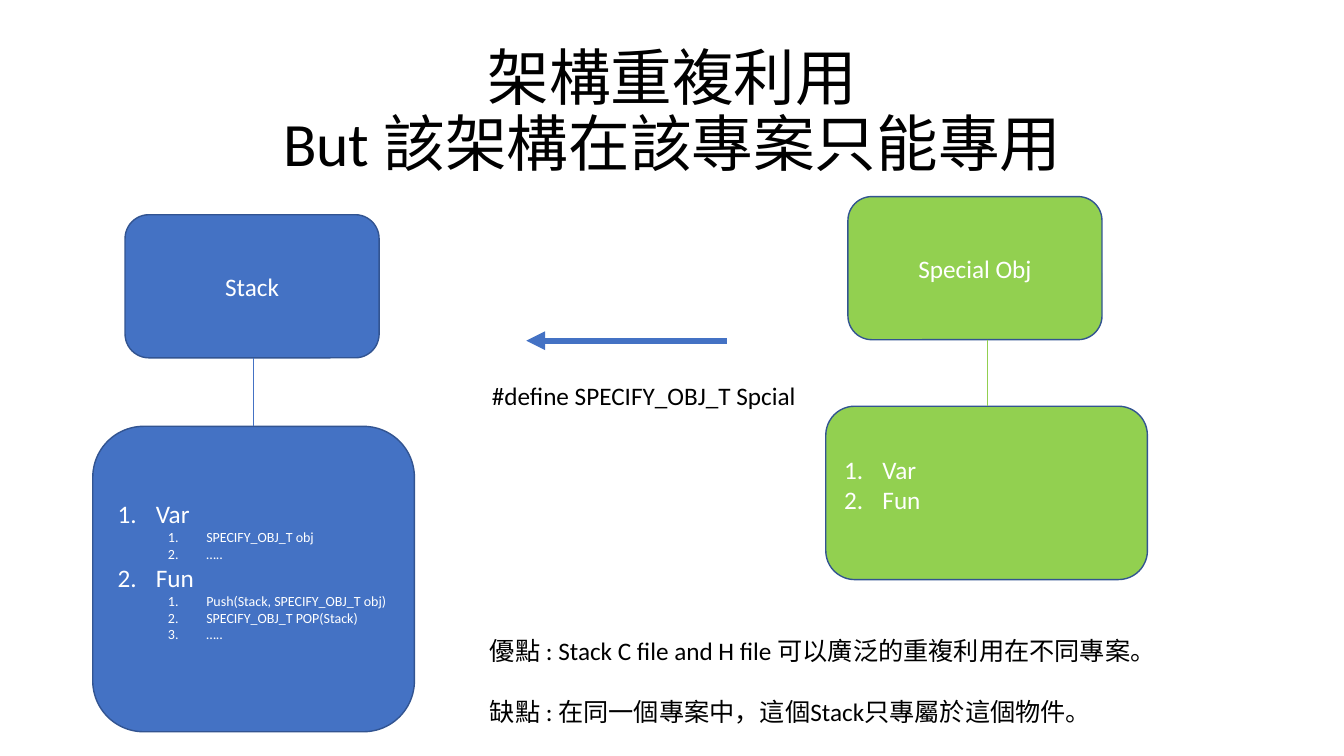
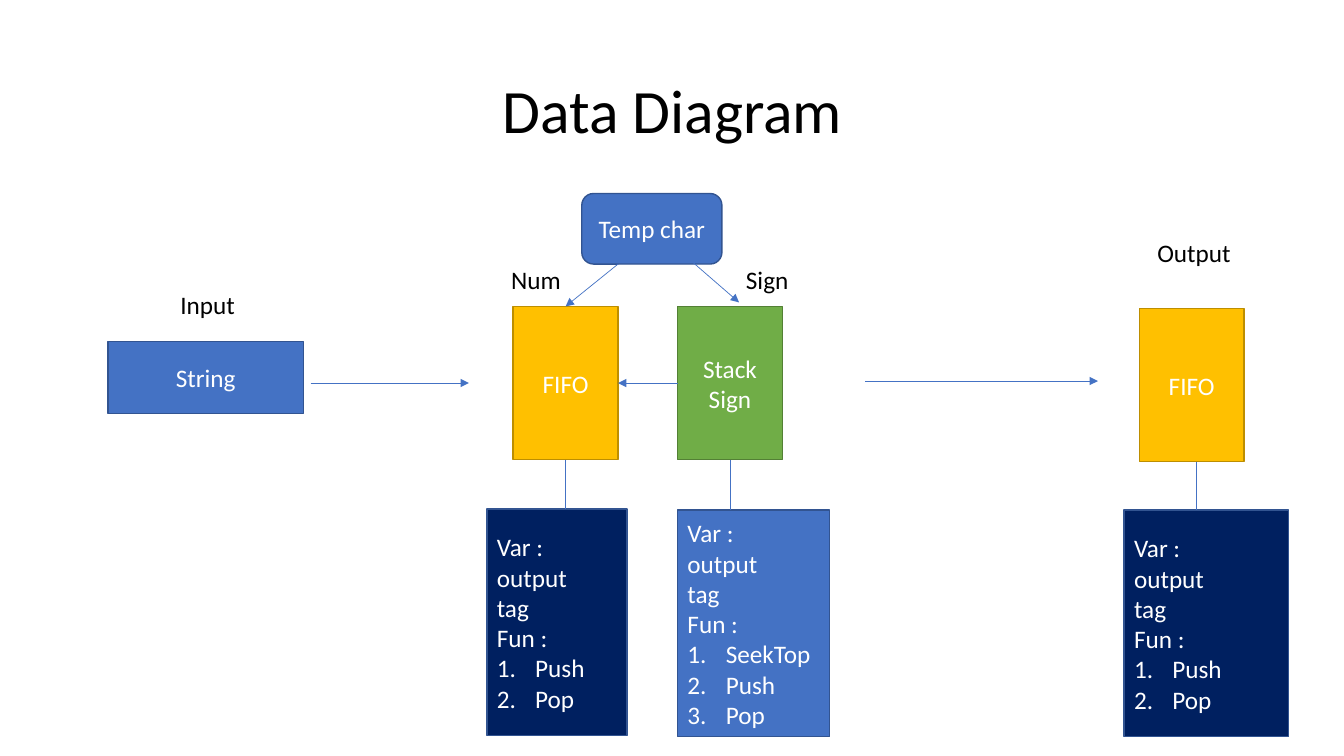
from pptx import Presentation
from pptx.dml.color import RGBColor
from pptx.enum.shapes import MSO_CONNECTOR as Link, MSO_SHAPE as Form
from pptx.enum.text import MSO_ANCHOR as Anchor, MSO_AUTO_SIZE as Fit, PP_ALIGN as Align
from pptx.oxml.ns import qn
from pptx.util import Inches, Pt
from lxml.etree import SubElement

FONT = "Calibri"
BLUE, LIME, GOLD, GREEN, NAVY = "4472C4", "92D050", "FFC000", "70AD47", "002060"
EDGE = {GOLD: "BD8E00", GREEN: "538035"}
ROUND, RECT = Form.ROUNDED_RECTANGLE, Form.RECTANGLE
HEAD, CELL = (2.52, 1.42), (1.04, 1.52)

STACK = [(1, "Var"), (2, "SPECIFY_OBJ_T obj"), (2, "….."),
         (1, "Fun"), (2, "Push(Stack, SPECIFY_OBJ_T obj)"),
         (2, "SPECIFY_OBJ_T POP(Stack)"), (2, "…..")]
OBJ = [(1, "Var"), (1, "Fun")]
VARS = [(0, "Var :"), (0, "output"), (0, "tag"), (0, "Fun :")]
FIFO = VARS + [(1, "Push"), (1, "Pop")]
SIGN = VARS + [(1, "SeekTop"), (1, "Push"), (1, "Pop")]

SLIDES = [
    {"title": "架構重複利用\vBut 該架構在該專案只能專用",
     "form": ROUND, "foot": 0.22,
     "units": [
         ("Stack", BLUE, (1.24, 2.13, *HEAD), STACK, BLUE, (0.92, 4.23, 3.19, 3.03), 2.51, BLUE),
         ("Special Obj", LIME, (8.41, 1.95, *HEAD), OBJ, LIME, (8.19, 4.03, 3.19, 1.72), 9.79, LIME)],
     "boxes": [],
     "arrows": [((7.21, 3.38), (5.22, 3.38), 4.5)],
     "notes": [
         (["#define SPECIFY_OBJ_T Spcial"], (4.78, 3.72, 3.47, 0.4)),
         (["優點 : Stack C file and H file 可以廣泛的重複利用在不同專案。",
           "缺點 : 在同一個專案中，這個Stack只專屬於這個物件。"], (4.76, 6.25, 7.29, 1.01))]},
    {"title": "Data Diagram",
     "form": RECT, "foot": 0.05,
     "units": [
         ("FIFO", GOLD, (5.09, 3.04, *CELL), FIFO, NAVY, (4.83, 5.05, 1.39, 2.25), 5.61, BLUE),
         ("Stack Sign", GREEN, (6.72, 3.04, *CELL), SIGN, BLUE, (6.72, 5.06, 1.51, 2.25), 7.24, BLUE),
         ("FIFO", GOLD, (11.3, 3.06, *CELL), FIFO, NAVY, (11.15, 5.06, 1.63, 2.25), 11.87, BLUE)],
     "boxes": [("String", RECT, (1.07, 3.39, 1.94, 0.71)),
               ("Temp char", ROUND, (5.77, 1.92, 1.39, 0.7))],
     "arrows": [((3.08, 3.8), (4.65, 3.8), 0.5), ((8.58, 3.78), (10.89, 3.78), 0.5),
                ((6.13, 2.62), (5.61, 3.04), 0.5), ((6.88, 2.61), (7.33, 3), 0.5),
                ((6.72, 3.8), (6.13, 3.8), 0.5)],
     "notes": [(["Input"], (1.69, 2.82, 1.04, 0.4)), (["Output"], (11.38, 2.31, 1.04, 0.4)),
               (["Num"], (4.97, 2.57, 0.95, 0.4)), (["Sign"], (7.3, 2.57, 0.95, 0.4))]},
]


def tint(part, color):
    part.fore_color.rgb = RGBColor.from_string(color)


def style(para, size, color, align=Align.LEFT):
    para.alignment = align
    para.font.name, para.font.size = FONT, Pt(size)
    para.font.color.rgb = RGBColor.from_string(color)


def number(para, depth):
    para.level = depth - 1
    props = para._p.get_or_add_pPr()
    props.set("marL", str(Inches(0.38 + 0.5 * para.level)))
    props.set("indent", str(-Inches(0.38)))
    SubElement(props, qn("a:buAutoNum"), type="arabicPeriod")


def add_box(slide, form, place, color, items, align=Align.CENTER, foot=0.05):
    box = slide.shapes.add_shape(form, *map(Inches, place))
    box.shadow.inherit = False
    box.fill.solid()
    tint(box.fill, color)
    tint(box.line.fill if box.line.fill.solid() else box.line.fill, EDGE.get(color, "325491"))
    box.line.width = Pt(1)
    frame = box.text_frame
    frame.word_wrap, frame.vertical_anchor = True, Anchor.MIDDLE
    frame.margin_bottom = Inches(foot)
    frame.text = "\n".join(text for _, text in items)
    for para, (depth, _) in zip(frame.paragraphs, items):
        style(para, 10 if depth == 2 else 18, "FFFFFF", align)
        if depth:
            number(para, depth)


def add_line(slide, start, end, color, width=0.5, arrow=False):
    line = slide.shapes.add_connector(Link.STRAIGHT, *map(Inches, start + end))
    line.line.fill.solid()
    tint(line.line.fill, color)
    line.line.width = Pt(width)
    if arrow:
        SubElement(line.line._get_or_add_ln(), qn("a:tailEnd"), type="triangle")
    SubElement(line._element.spPr, qn("a:effectLst"))


def add_note(slide, lines, place):
    frame = slide.shapes.add_textbox(*map(Inches, place)).text_frame
    frame.word_wrap = True
    frame.text = "\n".join(lines)
    for row, para in enumerate(frame.paragraphs):
        style(para, 18, "000000")
        para.space_before = Pt(22 if row else 0)


def add_title(slide, text):
    frame = slide.shapes.title.text_frame
    frame.text = text
    frame.auto_size, frame.vertical_anchor = Fit.NONE, Anchor.MIDDLE
    para = frame.paragraphs[0]
    style(para, 44, "000000", Align.CENTER)
    para.line_spacing = 0.9


def build(deck, layout, data):
    slide = deck.slides.add_slide(layout)
    add_title(slide, data["title"])
    for name, color, top, items, fill, low, mid, ink in data["units"]:
        add_box(slide, data["form"], top, color, [(0, name)])
        add_box(slide, data["form"], low, fill, items, Align.LEFT, data["foot"])
        add_line(slide, (mid, top[1] + top[3]), (mid, low[1]), ink)
    for name, form, place in data["boxes"]:
        add_box(slide, form, place, BLUE, [(0, name)])
    for start, end, width in data["arrows"]:
        add_line(slide, start, end, BLUE, width, True)
    for lines, place in data["notes"]:
        add_note(slide, lines, place)


def main():
    """Build the two slides on a shared title layout."""
    deck = Presentation()
    deck.slide_width, deck.slide_height = Inches(13.33), Inches(7.5)
    layout = deck.slide_layouts[5]
    title = layout.placeholders[0]
    title.left, title.top, title.width, title.height = map(Inches, (0.92, 0.4, 11.5, 1.45))
    for data in SLIDES:
        build(deck, layout, data)
    deck.save("out.pptx")


if __name__ == "__main__":
    main()
